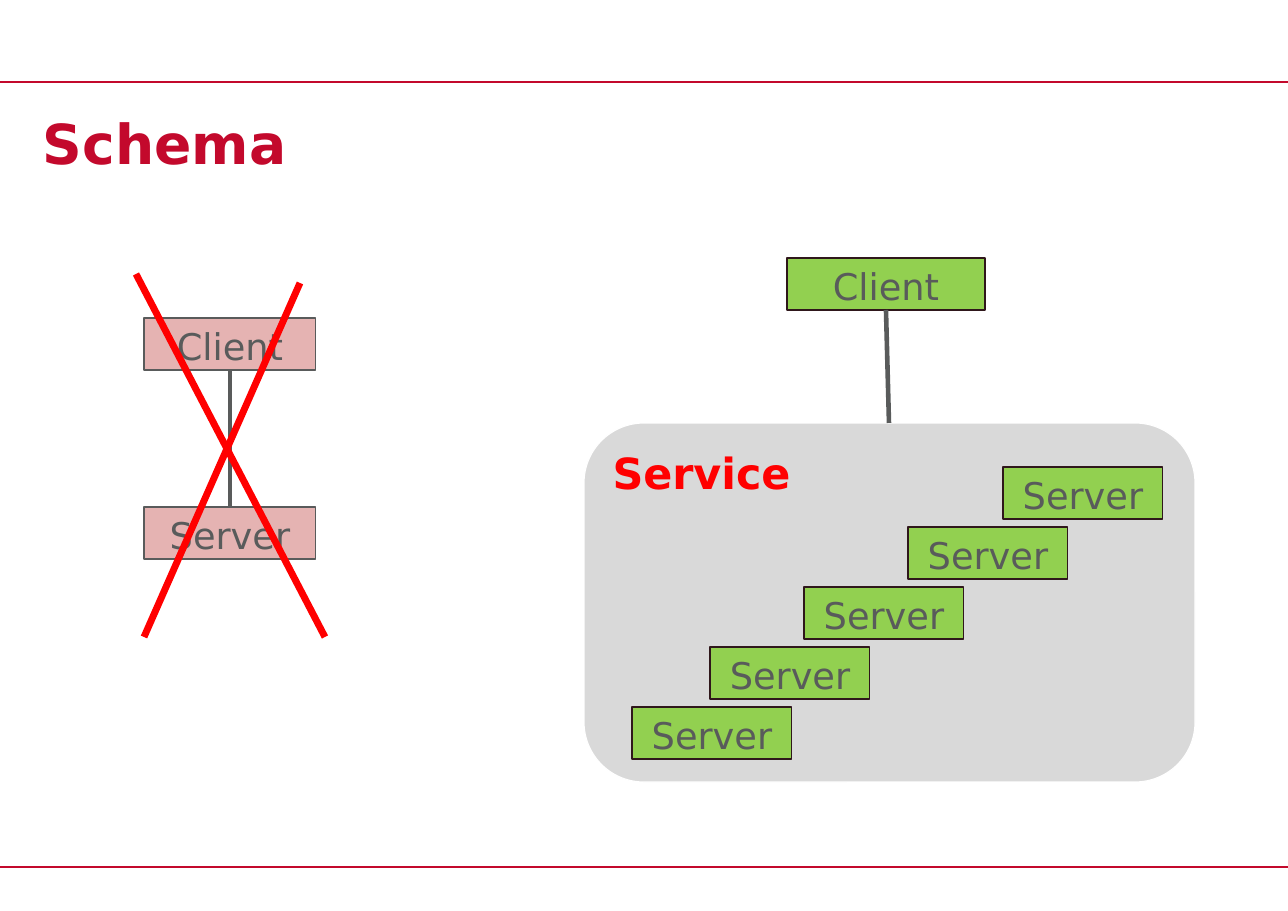
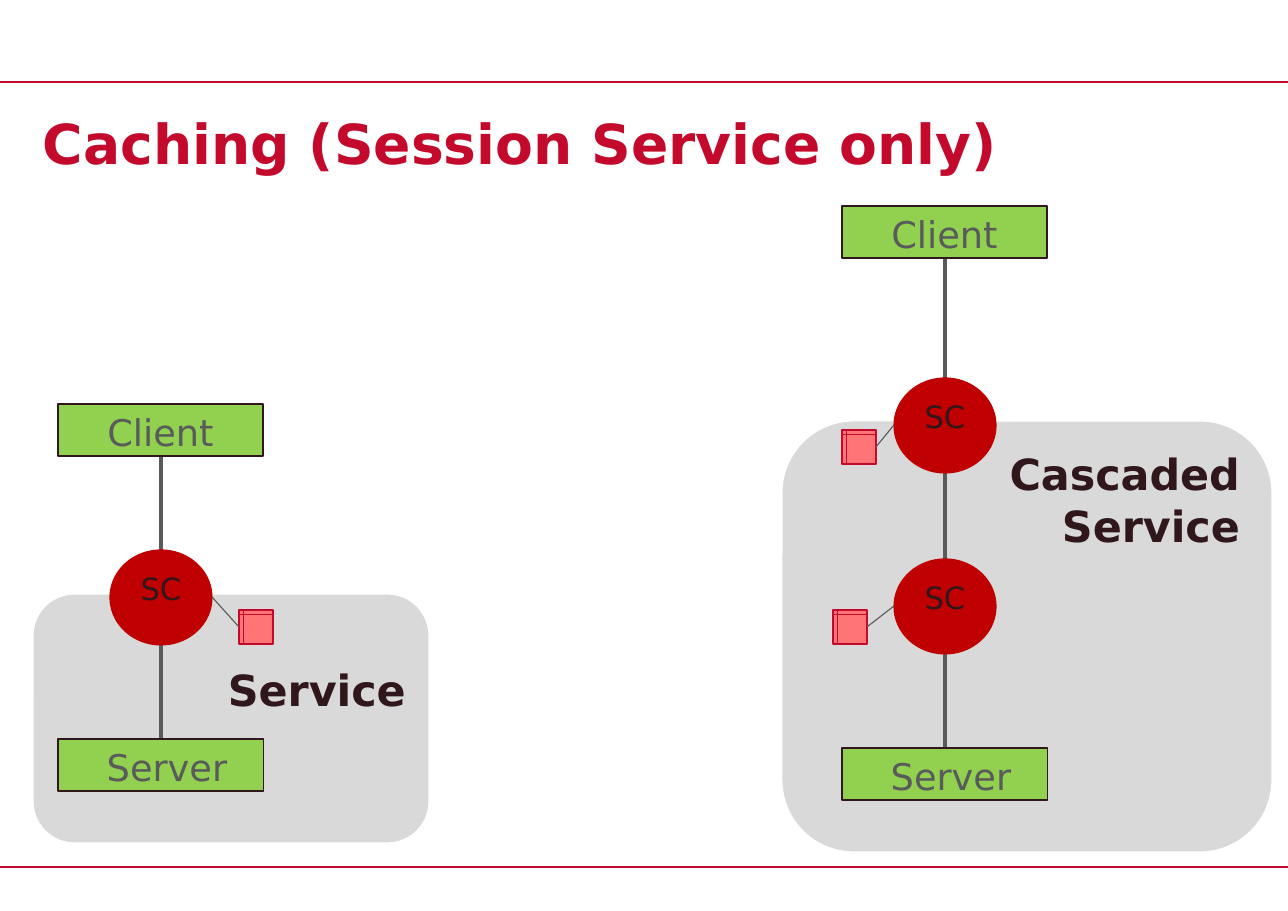
"""Build two slides on client, server and service structure."""
import lxml.etree
import pptx
import pptx.dml.color
import pptx.enum.shapes
import pptx.enum.text
import pptx.oxml.ns
import pptx.util

PIXEL = 914400 / 110.2
WIDTH, HEIGHT = 1288, 911
FONT = "DejaVu Sans"
BOX_HEIGHT = 52
DISC_WIDTH, DISC_HEIGHT = 102, 95
CACHE_SIZE = 34
COLORS = {
    "brand": "C3092C", "grey": "595B5B", "dark": "2F171B", "green": "92D050",
    "pink": "E5B3B2", "panel": "D9D9D9", "white": "FFFFFF", "red": "FF0000",
    "disc": "C00000", "cache": "FF7575",
}
SHAPES = pptx.enum.shapes.MSO_SHAPE
ALIGN = pptx.enum.text.PP_ALIGN
ANCHOR = pptx.enum.text.MSO_ANCHOR
INSETS = {"margin_left": 11, "margin_top": 6, "margin_right": 11, "margin_bottom": 6}
TITLE_INSETS = {"margin_left": 43, "margin_top": 0, "margin_right": 43, "margin_bottom": 0}
TEXT_STYLES = {
    "title": {"size": 36, "bold": True, "color": "brand"},
    "box": {"size": 24, "bold": False, "color": "grey"},
    "disc": {"size": 20, "bold": False, "color": "dark"},
    "service": {"size": 28, "bold": True, "color": "dark"},
    "highlight": {"size": 28, "bold": True, "color": "red"},
}


def px(value):
    """Turn pixels into EMU."""
    return pptx.util.Emu(round(value * PIXEL))


def rgb(name):
    """Return a named colour."""
    return pptx.dml.color.RGBColor.from_string(COLORS[name])


def write(shape, lines, style, align, anchor=ANCHOR.TOP, insets=INSETS):
    """Write one paragraph per line into a shape."""
    frame = shape.text_frame
    frame.word_wrap = True
    frame.vertical_anchor = anchor
    for name, value in insets.items():
        setattr(frame, name, px(value))
    values = TEXT_STYLES[style]
    font_format = {"name": FONT, "size": pptx.util.Pt(values["size"]), "bold": values["bold"]}
    for index, line in enumerate(lines):
        paragraph = frame.add_paragraph() if index else frame.paragraphs[0]
        paragraph.alignment = align
        run = paragraph.add_run()
        run.text = line
        for name, value in font_format.items():
            setattr(run.font, name, value)
        run.font.color.rgb = rgb(values["color"])


def add_shape(slide, kind, box, fill, line):
    """Add a filled and outlined preset shape."""
    shape = slide.shapes.add_shape(kind, *map(px, box))
    shape.shadow.inherit = False
    shape.fill.solid()
    shape.fill.fore_color.rgb = rgb(fill)
    shape.line.color.rgb = rgb(line)
    shape.line.width = pptx.util.Pt(0.75)
    return shape


def add_line(slide, start, end, color="grey", width=3):
    """Add a straight line between two points."""
    connector = slide.shapes.add_connector(
        pptx.enum.shapes.MSO_CONNECTOR.STRAIGHT, *map(px, (*start, *end)))
    connector.line.color.rgb = rgb(color)
    connector.line.width = pptx.util.Pt(width)
    lxml.etree.SubElement(connector._element.spPr, pptx.oxml.ns.qn("a:effectLst"))


def add_box(slide, left, top, width, label, fill="green", line="dark", shift=0):
    """Add a labelled client or server box."""
    shape = add_shape(slide, SHAPES.RECTANGLE, (left, top, width, BOX_HEIGHT), fill, line)
    insets = {**INSETS, "margin_left": INSETS["margin_left"] + shift}
    write(shape, [label], "box", ALIGN.CENTER, insets=insets)


def add_panel(slide, box, lines, style, align, text_top=6):
    """Add a rounded service panel with its heading."""
    panel = add_shape(slide, SHAPES.ROUNDED_RECTANGLE, box, "panel", "white")
    write(panel, lines, style, align, insets={**INSETS, "margin_top": text_top})


def add_frame(presentation, title):
    """Add a slide with its title and two rules."""
    slide = presentation.slides.add_slide(presentation.slide_layouts[6])
    for top in (867, 82):
        add_line(slide, (0, top), (WIDTH, top), "brand", 1)
    box = slide.shapes.add_textbox(*map(px, (0, 83, WIDTH, 119)))
    write(box, [title], "title", ALIGN.LEFT, ANCHOR.MIDDLE, TITLE_INSETS)
    return slide


def add_rejected_pair(slide, box):
    """Draw the direct client and server pair, crossed out."""
    left, top, width, height = box
    center = left + width // 2
    server_top = top + height - BOX_HEIGHT
    for label, box_top in (("Client", top), ("Server", server_top)):
        add_box(slide, left, box_top, width, label, "pink", "grey")
    add_line(slide, (center, top + BOX_HEIGHT), (center, server_top))
    bottom = top + height + 78
    add_line(slide, (left, bottom), (left + 156, top - 35), "red", 4.5)
    add_line(slide, (left - 8, top - 44), (left + 181, bottom), "red", 4.5)


def add_server_pool(slide, box):
    """Draw a client above a service with a staircase of servers."""
    left, top, width, height = box
    add_panel(slide, box, ["Service"], "highlight", ALIGN.LEFT)
    client_top = top - 165
    add_box(slide, left + 203, client_top, 198, "Client")
    add_line(slide, (left + 302, client_top + BOX_HEIGHT), (left + width // 2, top))
    for step, offset in enumerate((48, 126, 220, 324, 419)):
        add_box(slide, left + offset, top + height - 75 - 60 * step, 160, "Server")


def add_cached_service(slide, box, lines, text_top, chain_left, client_top, server_top, discs):
    """Draw a client, its discs with caches and the server on a panel."""
    left, top = box[:2]
    add_panel(slide, box, lines, "service", ALIGN.RIGHT, text_top)
    chain_left += left
    client_top += top
    server_top += top
    center = chain_left + 103
    add_line(slide, (center, client_top + BOX_HEIGHT), (center, server_top))
    add_box(slide, chain_left, client_top, 205, "Client")
    add_box(slide, chain_left, server_top, 206, "Server", shift=12)
    for disc_top, cache_left, cache_top in discs:
        disc_left = center - DISC_WIDTH // 2
        disc_box = (disc_left, top + disc_top, DISC_WIDTH, DISC_HEIGHT)
        disc = add_shape(slide, SHAPES.OVAL, disc_box, "disc", "disc")
        write(disc, ["SC"], "disc", ALIGN.CENTER)
        cache_left += left
        cache_top += top
        add_shape(slide, SHAPES.FLOWCHART_INTERNAL_STORAGE,
                  (cache_left, cache_top, CACHE_SIZE, CACHE_SIZE), "cache", "brand")
        on_right = cache_left > center
        disc_edge = disc_left + DISC_WIDTH * on_right
        cache_edge = cache_left + CACHE_SIZE * (not on_right)
        add_line(slide, (disc_edge, top + disc_top + DISC_HEIGHT // 2),
                 (cache_edge, cache_top + CACHE_SIZE // 2), width=0.75)


def main():
    """Build and save the presentation."""
    presentation = pptx.Presentation()
    presentation.slide_width = px(WIDTH)
    presentation.slide_height = px(HEIGHT)

    schema = add_frame(presentation, "Schema")
    add_rejected_pair(schema, (144, 318, 172, 241))
    add_server_pool(schema, (584, 423, 611, 359))

    caching = add_frame(presentation, "Caching (Session Service only)")
    add_cached_service(caching, (33, 594, 396, 249), ["Service"], 57,
                       25, -190, 145, [(-44, 206, 16)])
    add_cached_service(caching, (782, 421, 490, 431), ["Cascaded", "Service"], 6,
                       60, -215, 327, [(138, 51, 189), (-43, 60, 9)])
    presentation.save("out.pptx")


if __name__ == "__main__":
    main()
